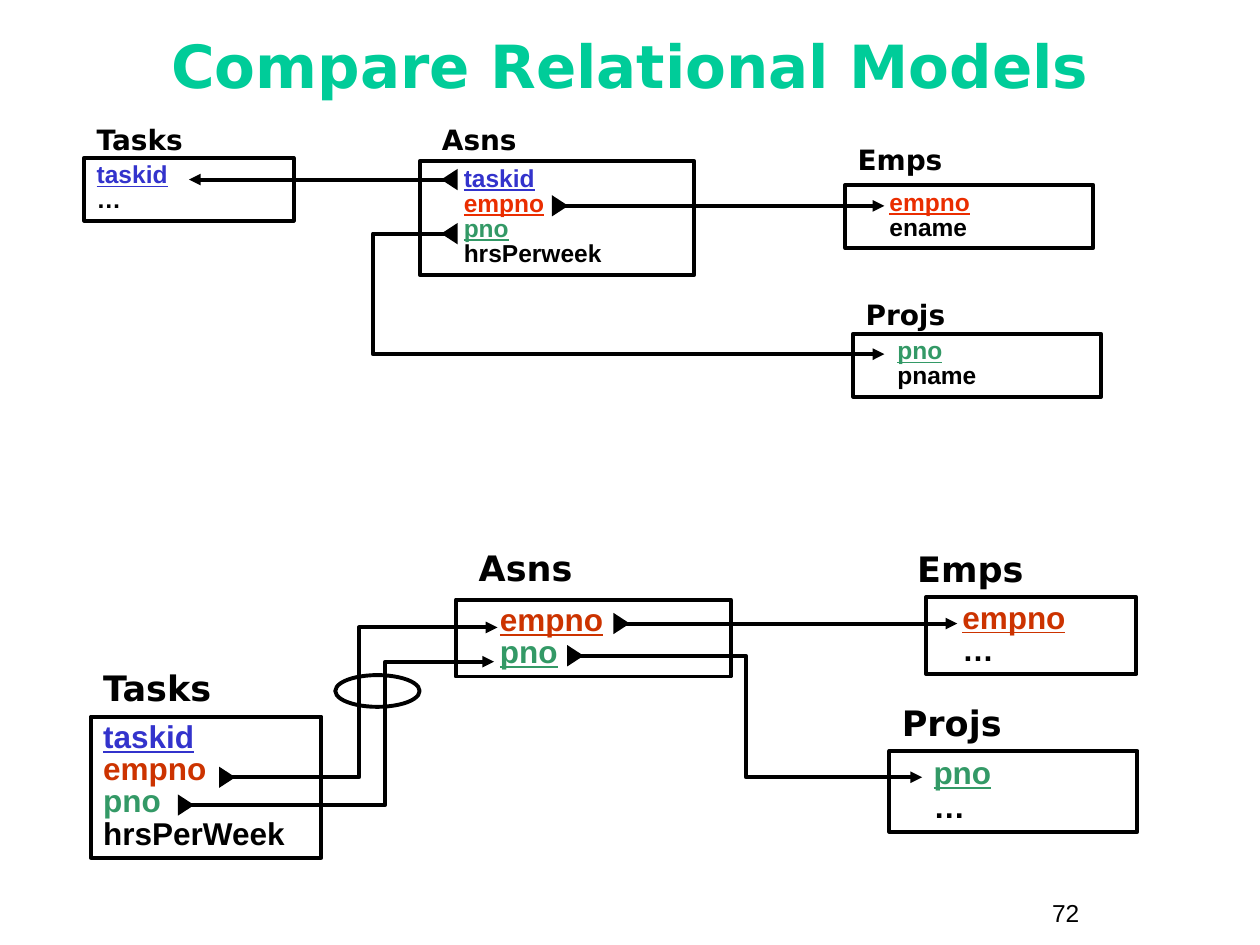
from dataclasses import dataclass
from typing import NamedTuple

from lxml import etree
from pptx import Presentation
from pptx import util as u
from pptx.dml.color import RGBColor
from pptx.enum import shapes, text
from pptx.oxml import ns


@dataclass(frozen=True)
class Theme:
    title: str = "00CC99"
    ink: str = "000000"
    task: str = "3333CC"
    project: str = "339966"
    employee: str = "CC3300"
    bright_employee: str = "EA2D00"
    heading_font: str = "DejaVu Sans"
    body_font: str = "Arial"
    title_size: int = 34
    number_size: int = 14
    line_width: float = 2.25


class Box(NamedTuple):
    left: float
    top: float
    width: float
    height: float

    def inner(self, left, top, width, height):
        return Box(self.left + left, self.top + top, width, height)

    def point(self, left, top):
        return self.left + left, self.top + top

    def lengths(self):
        return [u.Cm(value) for value in self]


class Field(NamedTuple):
    name: str
    color: str
    key: bool = True


class Sizes(NamedTuple):
    heading: int
    field: int


THEME = Theme()
SMALL = Sizes(16, 14)
LARGE = Sizes(20, 18)


def style_para(para, font, size, color, bold=True, underline=False):
    para.font.name = font
    para.font.size = u.Pt(size)
    para.font.bold = bold
    para.font.underline = underline
    para.font.color.rgb = RGBColor.from_string(color)


def draw_line(line):
    line.color.rgb = RGBColor.from_string(THEME.ink)
    line.width = u.Pt(THEME.line_width)


def add_outline(page, preset, box):
    shape = page.shapes.add_shape(preset, *box.lengths())
    shape.shadow.inherit = False
    shape.fill.background()
    draw_line(shape.line)
    return shape


def add_label(page, box, words, font, size, bold=True):
    label = page.shapes.add_textbox(*box.lengths())
    label.text_frame.word_wrap = True
    para = label.text_frame.paragraphs[0]
    para.text = words
    style_para(para, font, size, THEME.ink, bold)


def add_relation(page, name, label, box, fields, sizes, indent=0.0, spacing=0.85):
    add_label(page, label, name, THEME.heading_font, sizes.heading)
    frame = add_outline(page, shapes.MSO_SHAPE.RECTANGLE, box).text_frame
    frame.word_wrap = True
    frame.vertical_anchor = text.MSO_ANCHOR.TOP
    for index, field in enumerate(fields):
        para = frame.add_paragraph() if index else frame.paragraphs[0]
        para.text = field.name
        para.alignment = text.PP_ALIGN.LEFT
        para.line_spacing = spacing
        para._p.get_or_add_pPr().set("marL", str(u.Cm(indent)))
        style_para(para, THEME.body_font, sizes.field, field.color, underline=field.key)


def add_link(page, start, end, turn=None, marker_angle=90):
    kind = shapes.MSO_CONNECTOR.STRAIGHT if turn is None else shapes.MSO_CONNECTOR.ELBOW
    link = page.shapes.add_connector(kind, *[u.Cm(value) for value in (*start, *end)])
    draw_line(link.line)
    properties = link._element.spPr
    if turn is not None:
        share = round((turn - start[0]) / (end[0] - start[0]) * 100000)
        guides = properties.find(ns.qn("a:prstGeom")).get_or_add_avLst()
        etree.SubElement(guides, ns.qn("a:gd"), name="adj1", fmla=f"val {share}")
    etree.SubElement(link.line._get_or_add_ln(), ns.qn("a:tailEnd"), type="triangle")
    etree.SubElement(properties, ns.qn("a:effectLst"))

    width, height = 0.43, 0.33
    box = Box(start[0] - width / 2, start[1] - height / 2, width, height)
    marker = page.shapes.add_shape(shapes.MSO_SHAPE.ISOSCELES_TRIANGLE, *box.lengths())
    marker.shadow.inherit = False
    marker.rotation = marker_angle
    marker.fill.solid()
    marker.fill.fore_color.rgb = RGBColor.from_string(THEME.ink)
    marker.line.fill.background()


def add_title(page, box, words):
    title = page.shapes.title
    title.left, title.top, title.width, title.height = box.lengths()
    title.text_frame.vertical_anchor = text.MSO_ANCHOR.MIDDLE
    para = title.text_frame.paragraphs[0]
    para.text = words
    para.alignment = text.PP_ALIGN.CENTER
    style_para(para, THEME.heading_font, THEME.title_size, THEME.title)


def add_upper_model(page, area):
    task = Field("taskid", THEME.task)
    employee = Field("empno", THEME.bright_employee)
    project = Field("pno", THEME.project)
    relations = [
        ("Tasks", (0, 0), (0, 0.84, 4.22, 1.27), [task, Field("…", THEME.ink, False)], 0),
        ("Asns", (6.96, 0), (6.76, 0.91, 5.54, 2.29),
         [task, employee, project, Field("hrsPerweek", THEME.ink, False)], 0.64),
        ("Emps", (15.34, 0.4), (15.34, 1.39, 5, 1.27),
         [employee, Field("ename", THEME.ink, False)], 0.64),
        ("Projs", (15.5, 3.53), (15.5, 4.39, 5, 1.27),
         [project, Field("pname", THEME.ink, False)], 0.64),
    ]
    for name, label, box, fields, indent in relations:
        add_relation(page, name, area.inner(*label, 5.46, 0.94), area.inner(*box),
                     fields, SMALL, indent)
    add_link(page, area.point(7.36, 1.28), area.point(2.11, 1.28), marker_angle=270)
    add_link(page, area.point(9.59, 1.81), area.point(16.13, 1.81))
    add_link(page, area.point(7.36, 2.37), area.point(16.13, 4.8),
             turn=area.left + 5.82, marker_angle=270)


def add_lower_model(page, area):
    employee = Field("empno", THEME.employee)
    project = Field("pno", THEME.project)
    rest = Field("…", THEME.ink, False)
    task_fields = [Field("taskid", THEME.task), employee._replace(key=False),
                   project._replace(key=False), Field("hrsPerWeek", THEME.ink, False)]
    relations = [
        ("Asns", (7.57, 0), (7.36, 1.19, 5.54, 1.55), [employee, project], 0.64, 0.85),
        ("Projs", (16.1, 3.12), (16.1, 4.24, 5, 1.63), [project, rest], 0.64, 0.9),
        ("Emps", (16.41, 0.02), (16.84, 1.14, 4.24, 1.55), [employee, rest], 0.48, 0.85),
        ("Tasks", (0, 2.41), (0, 3.55, 4.65, 2.84), task_fields, 0, 0.85),
    ]
    for name, label, box, fields, indent, spacing in relations:
        add_relation(page, name, area.inner(*label, 5.46, 1.12), area.inner(*box),
                     fields, LARGE, indent, spacing)
    add_link(page, area.point(10.7, 1.67), area.point(17.47, 1.67))
    add_link(page, area.point(9.77, 2.32), area.point(16.76, 4.77), turn=area.left + 13.21)
    add_link(page, area.point(2.75, 4.77), area.point(8.2, 1.75), turn=area.left + 5.41)
    add_link(page, area.point(1.92, 5.33), area.point(8.13, 2.44), turn=area.left + 5.94)
    add_outline(page, shapes.MSO_SHAPE.OVAL, area.inner(4.93, 2.71, 1.7, 0.64))


def main():
    deck = Presentation()
    deck.slide_width, deck.slide_height = u.Cm(25.4), u.Cm(19.05)
    page = deck.slides.add_slide(deck.slide_layouts[5])
    add_title(page, Box(0.85, 0.25, 23.7, 2.11), "Compare Relational Models")
    add_upper_model(page, Box(1.7, 2.34, 20.5, 5.66))
    add_lower_model(page, Box(1.83, 10.9, 21.1, 6.39))
    add_label(page, Box(20.96, 17.98, 2.34, 0.86), "72",
              THEME.body_font, THEME.number_size, bold=False)
    deck.save("out.pptx")


if __name__ == "__main__":
    main()
